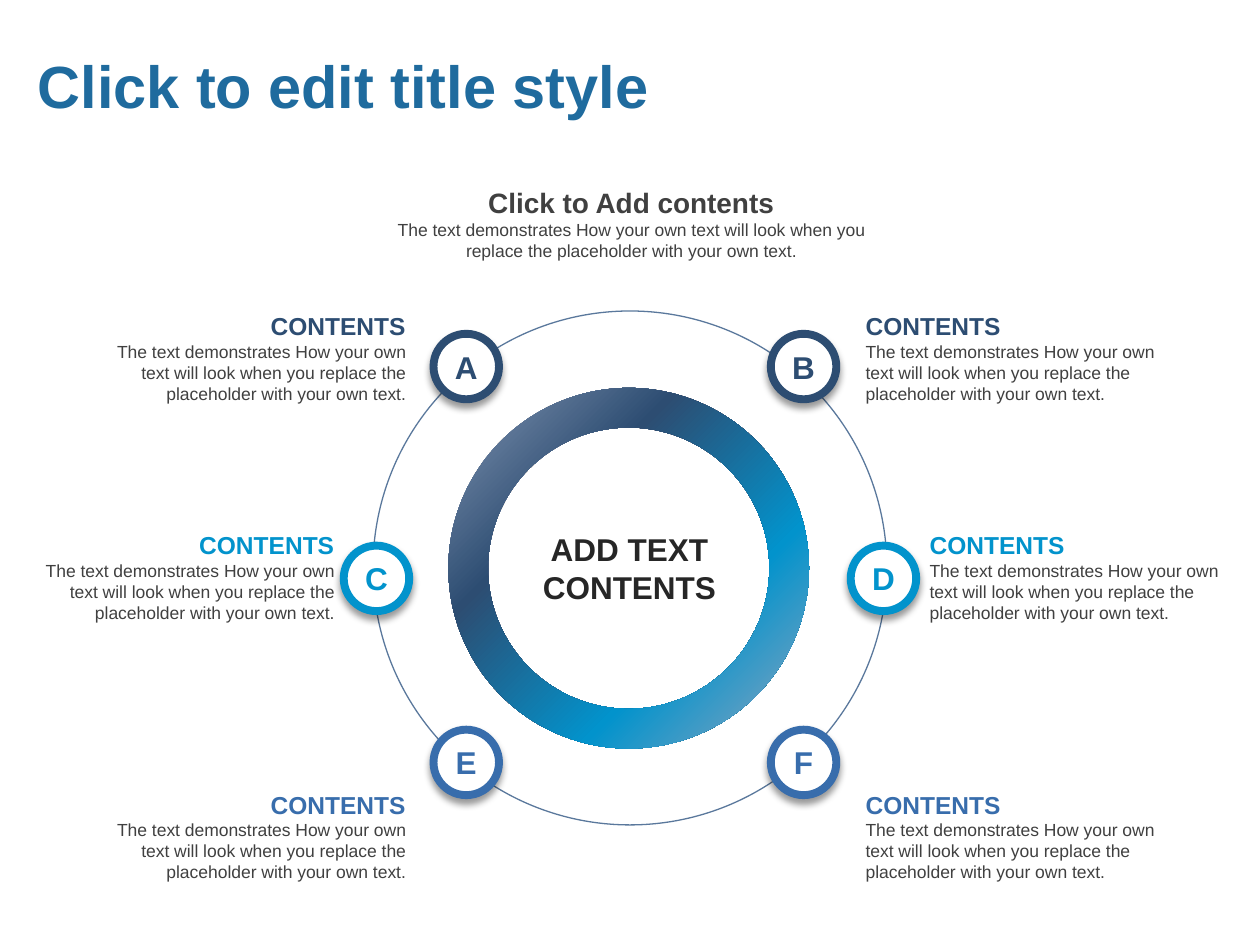
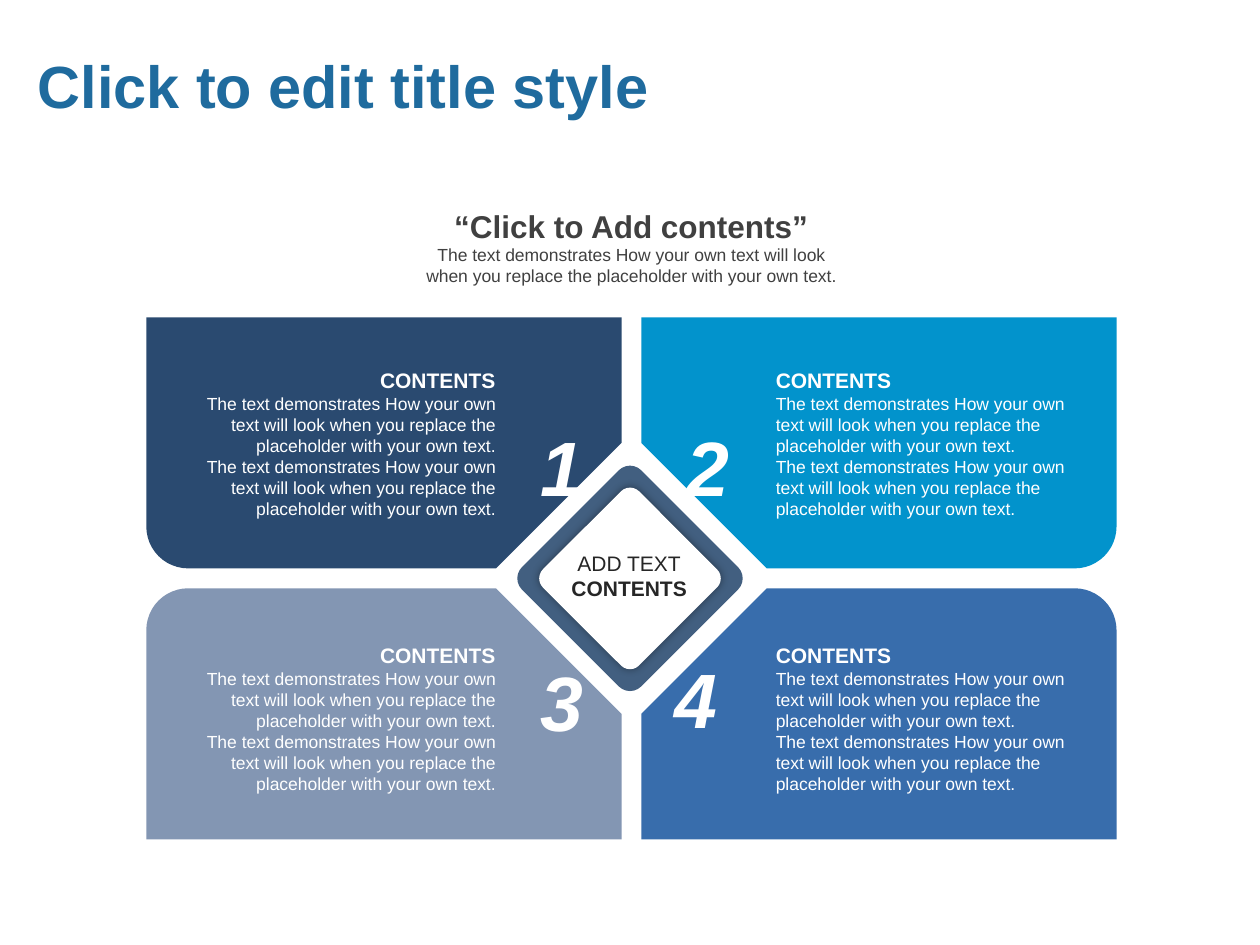
from collections import namedtuple
from dataclasses import dataclass

from pptx import Presentation
from pptx.dml.color import RGBColor
from pptx.enum.shapes import MSO_SHAPE
from pptx.enum.text import MSO_ANCHOR, MSO_AUTO_SIZE, PP_ALIGN
from pptx.oxml import parse_xml
from pptx.oxml.ns import nsdecls
from pptx.util import Cm, Pt


@dataclass(frozen=True)
class Theme:
    font: str = "Arial"
    title: str = "1F6B9E"
    navy: str = "2D4D72"
    deep: str = "2A4A70"
    sky: str = "0293CC"
    blue: str = "386DAC"
    mist: str = "8396B3"
    pale: str = "93A4BD"
    slate: str = "425F80"
    orbit: str = "5A789C"
    white: str = "FFFFFF"
    text: str = "404040"
    dark: str = "262626"
    head: int = 34
    digit: int = 44
    large: int = 18
    lead: int = 16
    label: int = 14
    small: int = 12
    body: int = 10


T = Theme()
Line = namedtuple("Line", "text size color bold italic", defaults=(False, False))
BODY = ("The text demonstrates How your own text will look when you "
        "replace the placeholder with your own text.")
LEFT, MID, RIGHT = PP_ALIGN.LEFT, PP_ALIGN.CENTER, PP_ALIGN.RIGHT


def rgb(color):
    return RGBColor.from_string(color)


def write(frame, lines, align):
    frame.text = "\n".join(line.text for line in lines)
    for para, line in zip(frame.paragraphs, lines):
        para.alignment = align
        for run in para.runs:
            font = run.font
            font.name = T.font
            font.size = Pt(line.size)
            font.bold = line.bold
            font.italic = line.italic
            font.color.rgb = rgb(line.color)


def add_text(slide, box, lines, align=LEFT, wrap=True, anchor=MSO_ANCHOR.TOP):
    frame = slide.shapes.add_textbox(*map(Cm, box)).text_frame
    frame.word_wrap = wrap
    frame.auto_size = MSO_AUTO_SIZE.NONE
    frame.vertical_anchor = anchor
    write(frame, lines, align)


def add_form(slide, kind, box, fill=None, line=None, width=1.0, adjust=()):
    form = slide.shapes.add_shape(kind, *map(Cm, box))
    form.shadow.inherit = False
    for index, value in enumerate(adjust):
        form.adjustments[index] = value
    if fill:
        form.fill.solid()
        form.fill.fore_color.rgb = rgb(fill)
    else:
        form.fill.background()
    if line:
        form.line.color.rgb = rgb(line)
        form.line.width = Pt(width)
    else:
        form.line.fill.background()
    return form


def add_shade(form, blur, drop, angle):
    effects = form.element.spPr.find(".//{*}effectLst")
    effects.append(parse_xml(
        f'<a:outerShdw {nsdecls("a")} blurRad="{Pt(blur)}" dist="{Pt(drop)}" '
        f'dir="{angle * 60000}" algn="ctr" rotWithShape="0">'
        '<a:srgbClr val="000000"><a:alpha val="40000"/></a:srgbClr></a:outerShdw>'))


def blend(form, stops, angle):
    marks = "".join(f'<a:gs pos="{spot * 1000}"><a:srgbClr val="{color}"/></a:gs>'
                    for spot, color in stops)
    props = form.element.spPr
    plain = props.find("{*}noFill")
    props.replace(plain, parse_xml(
        f'<a:gradFill {nsdecls("a")} rotWithShape="1"><a:gsLst>{marks}</a:gsLst>'
        f'<a:lin ang="{angle * 60000}" scaled="0"/></a:gradFill>'))


def add_title(slide):
    add_text(slide, (0.51, 0.43, 17.42, 2.57),
             [Line("Click to edit title style", T.head, T.title, True)],
             anchor=MSO_ANCHOR.MIDDLE)


def add_lead(slide, box, text, size):
    add_text(slide, box, [Line(text, size, T.text, True),
                          Line(BODY, T.body, T.text)], MID)


def add_badge(slide, left, top, letter, color):
    badge = add_form(slide, MSO_SHAPE.OVAL, (left, top, 1.32, 1.32),
                     T.white, color, 4.5)
    add_shade(badge, 4, 3, 90)
    frame = badge.text_frame
    frame.margin_left = frame.margin_right = 0
    frame.margin_top = frame.margin_bottom = 0
    frame.vertical_anchor = MSO_ANCHOR.MIDDLE
    write(frame, [Line(letter, T.large, color, True)], MID)


def add_note(slide, left, top, align, size, color, tint, count=1):
    lines = [Line("CONTENTS", size, color, True)]
    lines += [Line(BODY, T.body, tint)] * count
    add_text(slide, (left, top, 6.53, 0.93 + 1.2 * count), lines, align)


def add_panel(slide, left, top, flips, fill):
    panel = add_form(slide, MSO_SHAPE.SNIP_ROUND_RECTANGLE,
                     (left, top, 9.58, 5.06), fill, adjust=(0.167, 0.5))
    frame = panel.element.spPr.get_or_add_xfrm()
    for flip in flips:
        frame.set(flip, "1")


def add_gem(slide, size, fill):
    gem = add_form(slide, MSO_SHAPE.ROUNDED_RECTANGLE,
                   (12.7 - size / 2, 11.66 - size / 2, size, size),
                   fill, adjust=(0.094,))
    gem.rotation = 45
    return gem


def draw_ring(slide):
    add_form(slide, MSO_SHAPE.OVAL, (7.52, 6.27, 10.36, 10.36),
             line=T.orbit, width=0.75)
    add_title(slide)
    donut = add_form(slide, MSO_SHAPE.DONUT, (9.04, 7.82, 7.27, 7.27),
                     adjust=(0.11,))
    blend(donut, [(0, T.mist), (32, T.navy), (68, T.sky), (100, T.pale)], 45)
    rows = [("AB", T.navy, 6.73, 6.15, (8.74, 15.54), (1.9, 17.2)),
            ("CD", T.sky, 11, 10.57, (6.93, 17.15), (0.46, 18.49)),
            ("EF", T.blue, 14.71, 15.8, (8.74, 15.54), (1.9, 17.2))]
    for pair, color, top, below, spots, notes in rows:
        for letter, spot, note, align in zip(pair, spots, notes, (RIGHT, LEFT)):
            add_badge(slide, spot, top, letter, color)
            add_note(slide, note, below, align, T.label, color, T.text)
    add_text(slide, (10.67, 10.57, 4.04, 1.8),
             [Line(word, T.large, T.dark, True) for word in ("ADD TEXT", "CONTENTS")],
             MID, wrap=False)
    add_lead(slide, (7.29, 3.61, 10.87, 1.8), "Click to Add contents", T.lead)


def draw_panels(slide):
    cards = [("1", T.deep, ("flipV",), (10.64, 8.33)),
             ("2", T.sky, ("flipH", "flipV"), (13.59, 8.33)),
             ("3", T.mist, (), (10.64, 13.08)),
             ("4", T.blue, ("flipH",), (13.34, 13))]
    for index, (digit, fill, flips, spot) in enumerate(cards):
        row, col = divmod(index, 2)
        add_panel(slide, 2.95 + 9.98 * col, 6.4 + 5.46 * row, flips, fill)
        add_text(slide, (*spot, 2.29, 2.13),
                 [Line(digit, T.digit, T.white, True, True)])
        add_note(slide, 3.71 + 11.68 * col, 7.29 + 5.54 * row,
                 (RIGHT, LEFT)[col], T.small, T.white, T.white, 2)
    add_title(slide)
    add_gem(slide, 3.4, T.slate)
    add_shade(add_gem(slide, 2.74, T.white), 5, 0, 0)
    add_lead(slide, (8.23, 4.04, 8.99, 1.88), "“Click to Add contents”", T.large)
    add_text(slide, (11.25, 10.97, 2.87, 1.27),
             [Line("ADD TEXT", T.small, T.dark),
              Line("CONTENTS", T.small, T.dark, True)], MID, wrap=False)


def main():
    deck = Presentation()
    deck.slide_width, deck.slide_height = Cm(25.4), Cm(19.05)
    for draw in (draw_ring, draw_panels):
        draw(deck.slides.add_slide(deck.slide_layouts[6]))
    deck.save("out.pptx")


if __name__ == "__main__":
    main()
